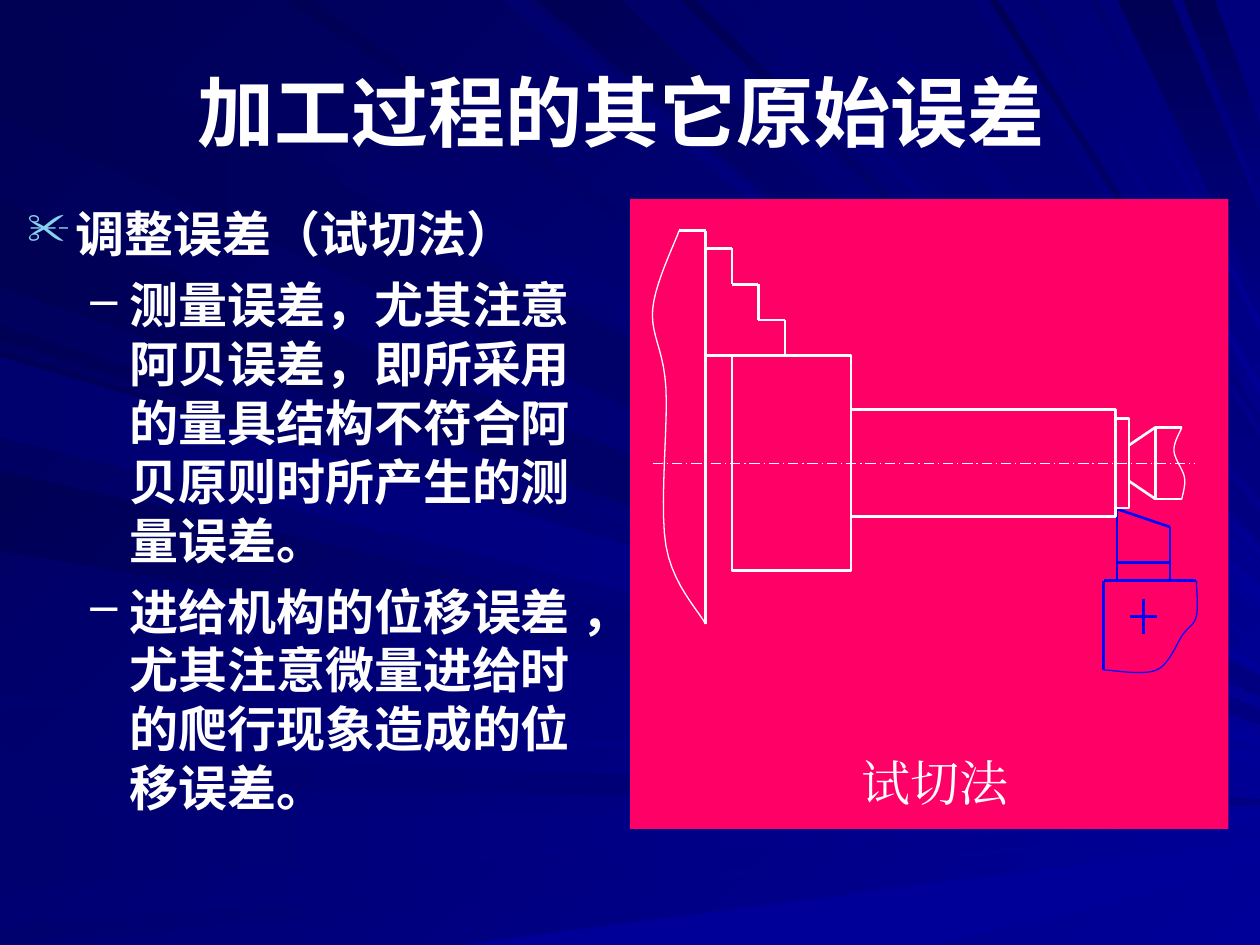
from itertools import pairwise

from lxml import etree
from pptx import Presentation
from pptx.dml.color import RGBColor
from pptx.enum.dml import MSO_LINE
from pptx.enum.shapes import MSO_CONNECTOR, MSO_SHAPE
from pptx.enum.text import MSO_ANCHOR, PP_ALIGN
from pptx.oxml.ns import qn
from pptx.util import Inches, Pt

RECT, STRAIGHT = MSO_SHAPE.RECTANGLE, MSO_CONNECTOR.STRAIGHT
CENTER, LEFT = PP_ALIGN.CENTER, PP_ALIGN.LEFT
MIDDLE, TOP = MSO_ANCHOR.MIDDLE, MSO_ANCHOR.TOP
WHITE, BLUE = RGBColor(255, 255, 255), RGBColor(0, 0, 255)
PINK, SKY = RGBColor(255, 0, 102), RGBColor(134, 209, 236)
NIGHT, DUSK = RGBColor(0, 0, 85), RGBColor(0, 0, 111)
NAVY, ROYAL = RGBColor(0, 0, 128), RGBColor(0, 0, 153)
SANS, SERIF = "Noto Sans CJK SC", "Times New Roman"
W, H = 10, 7.5
THICK, THIN, CURVE_STEPS = 1.5, 0.75, 10

TITLE = "加工过程的其它原始误差"
CAPTION = "试切法"
BODY = [
    (0, "调整误差（试切法）"),
    (1, "测量误差，尤其注意阿贝误差，即所采用的量具结构不符合阿贝原则时所产生的测量误差。"),
    (1, "进给机构的位移误差 ，尤其注意微量进给时的爬行现象造成的位移误差。"),
]
BULLETS = [("✂", SKY, 90, 0.38, 0.38), ("–", WHITE, 100, 0.81, 0.31)]

VANISH = (11.95, 6.42)
RAYS = [
    ("left", NIGHT, NAVY, 0, [(0.02, 0.93), (1.59, 2.28)]),
    ("left", NIGHT, ROYAL, 45, [(2.58, 2.7), (2.78, 3.42), (3.74, 4.37)]),
    ("left", DUSK, ROYAL, 0, [(2.83, 3.47), (5.52, 5.6), (6.47, 7.04), (7.35, H)]),
    ("left", DUSK, NAVY, 0, [(5.96, 6.23)]),
    ("bottom", ROYAL, ROYAL, 0, [(3.64, 7.42)]),
    ("top", NIGHT, ROYAL, 45, [(0.26, 1.01), (2.25, 2.47), (4.26, 4.92), (5.4, 5.52)]),
    ("top", DUSK, ROYAL, 45, [(3.98, 4.16), (5.77, 5.88), (8.15, 8.24), (8.65, 8.72)]),
    ("top", DUSK, NAVY, 90, [(6.06, 6.61), (6.86, 7.7)]),
    ("top", NIGHT, NAVY, 90, [(7.85, 7.92), (8.87, 9.3), (9.39, 9.64)]),
]

CELL = (0.105, 0.142)
LATHE, TOOL = (5.18, 1.83), (8.76, 4.04)
AXIS_ROW = 13
JAW_STEPS = [(6 + 2 * i, row) for i in range(3) for row in (2 * i + 1, 2 * i + 3)]
LATHE_LINES = [
    [(2, 0), (4, 0), (4, 22)],
    [(4, 1), *JAW_STEPS],
    [(4, 7), (6, 7)],
    [(38, 11), (38, 15)],
    *[[(36, AXIS_ROW + side), (38, AXIS_ROW + 2 * side), (40, AXIS_ROW + 2 * side)] for side in (-1, 1)],
]
TOOL_LINES = [
    [(5, 4), (5, 1), (1, 0), (1, 4)],
    [(1, 3), (5, 3)],
    [(7, 4), (0, 4), (0, 9)],
    [(2, 6), (4, 6)],
    [(3, 5), (3, 7)],
]
TURNED_PARTS = [(6, 15, 6), (15, 35, 3), (35, 36, 2.5)]
CURVES = [
    (LATHE, WHITE, [(2, 0), (0, 4.4), (1, 8.8), (1, 17.6), (4, 22)]),
    (LATHE, WHITE, [(40, 11), (39.4, 12.3), (40.2, 13.8), (40, 15)]),
    (TOOL, BLUE, [(7, 4), (7, 6), (6, 7), (4, 9), (0, 9)]),
]


def place(origin, points):
    return [tuple(o + c * v for o, c, v in zip(origin, CELL, point)) for point in points]


def edge_point(edge, v):
    return {"left": (0, v), "top": (v, 0), "bottom": (v, H)}[edge]


def ray_tip(start):
    (x, y), (vx, vy) = start, VANISH
    return W, y + (vy - y) * (W - x) / (vx - x)


def smooth(points):
    knots = [points[0], *points, points[-1]]
    result = [points[0]]
    for a, b, c, d in zip(knots, knots[1:], knots[2:], knots[3:]):
        for step in range(1, CURVE_STEPS + 1):
            t = step / CURVE_STEPS
            result.append(tuple(
                q + ((r - p) * t + (2 * p - 5 * q + 4 * r - s) * t ** 2 + (3 * q - p - 3 * r + s) * t ** 3) / 2
                for p, q, r, s in zip(a, b, c, d)))
    return result


def set_gradient(fill, first, last, angle):
    fill.gradient()
    fill.gradient_angle = (360 - angle) % 360
    for stop, color in zip(fill.gradient_stops, (first, last)):
        stop.color.rgb = color


def add_outline(points, close):
    start, *rest = [(Inches(x), Inches(y)) for x, y in points]
    builder = shapes.build_freeform(*start, scale=1.0)
    builder.add_line_segments(rest, close=close)
    s = builder.convert_to_shape()
    s.shadow.inherit = False
    return s


def add_chain(points, color, width=THICK):
    for start, end in pairwise(points):
        s = shapes.add_connector(STRAIGHT, *map(Inches, start + end))
        s.line.color.rgb, s.line.width = color, Pt(width)
        etree.SubElement(s._element.spPr, qn("a:effectLst"))
    return s


def add_rect(box):
    s = shapes.add_shape(RECT, *map(Inches, box))
    s.shadow.inherit = False
    return s


def set_outline_only(s, color, width):
    s.fill.background()
    s.line.color.rgb, s.line.width = color, Pt(width)


def add_frame(box, anchor):
    tf = shapes.add_textbox(*map(Inches, box)).text_frame
    tf.word_wrap, tf.vertical_anchor = True, anchor
    return tf


def write(p, text, size=28, font=SANS, bold=False, align=LEFT):
    p.alignment = align
    r = p.add_run()
    r.text = text
    r.font.size, r.font.bold, r.font.name = Pt(size), bold, font
    r.font.color.rgb = WHITE
    etree.SubElement(r._r.get_or_add_rPr(), qn("a:ea"), typeface=font)


def add_bullet(p, char, color, size, margin, hang):
    pPr = p._p.get_or_add_pPr()
    pPr.set("marL", str(Inches(margin)))
    pPr.set("indent", str(-Inches(hang)))
    etree.SubElement(etree.SubElement(pPr, qn("a:buClr")), qn("a:srgbClr"), val=str(color))
    etree.SubElement(pPr, qn("a:buSzPct"), val=str(size * 1000))
    etree.SubElement(pPr, qn("a:buChar"), char=char)


prs = Presentation()
prs.slide_width, prs.slide_height = Inches(W), Inches(H)
slide = prs.slides.add_slide(prs.slide_layouts[6])
shapes = slide.shapes
set_gradient(slide.background.fill, NIGHT, ROYAL, 45)
for edge, first, last, angle, spans in RAYS:
    for span in spans:
        a, b = (edge_point(edge, v) for v in span)
        s = add_outline([a, b, ray_tip(b), ray_tip(a)], True)
        set_gradient(s.fill, first, last, angle)
        s.line.fill.background()

s = add_rect((5, 1.58, 4.75, 5))
s.fill.solid()
s.fill.fore_color.rgb = PINK
s.line.fill.background()

write(add_frame((1.08, 0.25, 7.7, 1.25), MIDDLE).paragraphs[0], TITLE, size=44, bold=True, align=CENTER)
tf = add_frame((0.12, 1.57, 4.67, 5.8), TOP)
for i, (level, text) in enumerate(BODY):
    p = tf.add_paragraph() if i else tf.paragraphs[0]
    p.level = level
    p.line_spacing = Pt(33.6)
    if i:
        p.space_before = Pt(7)
    add_bullet(p, *BULLETS[level])
    write(p, text, bold=True)

for origin, color, chains in ((TOOL, BLUE, TOOL_LINES), (LATHE, WHITE, LATHE_LINES)):
    for chain in chains:
        add_chain(place(origin, chain), color)
axis = add_chain(place(LATHE, [(0, AXIS_ROW), (41, AXIS_ROW)]), WHITE, THIN)
axis.line.dash_style = MSO_LINE.LONG_DASH_DOT
for left, right, half in TURNED_PARTS:
    (x1, y1), (x2, y2) = place(LATHE, [(left, AXIS_ROW - half), (right, AXIS_ROW + half)])
    set_outline_only(add_rect((x1, y1, x2 - x1, y2 - y1)), WHITE, THICK)
for origin, color, knots in CURVES:
    set_outline_only(add_outline(smooth(place(origin, knots)), False), color, THIN)

write(add_frame((5.67, 5.92, 3.5, 0.57), MIDDLE).paragraphs[0], CAPTION, font=SERIF, align=CENTER)
prs.save("out.pptx")
